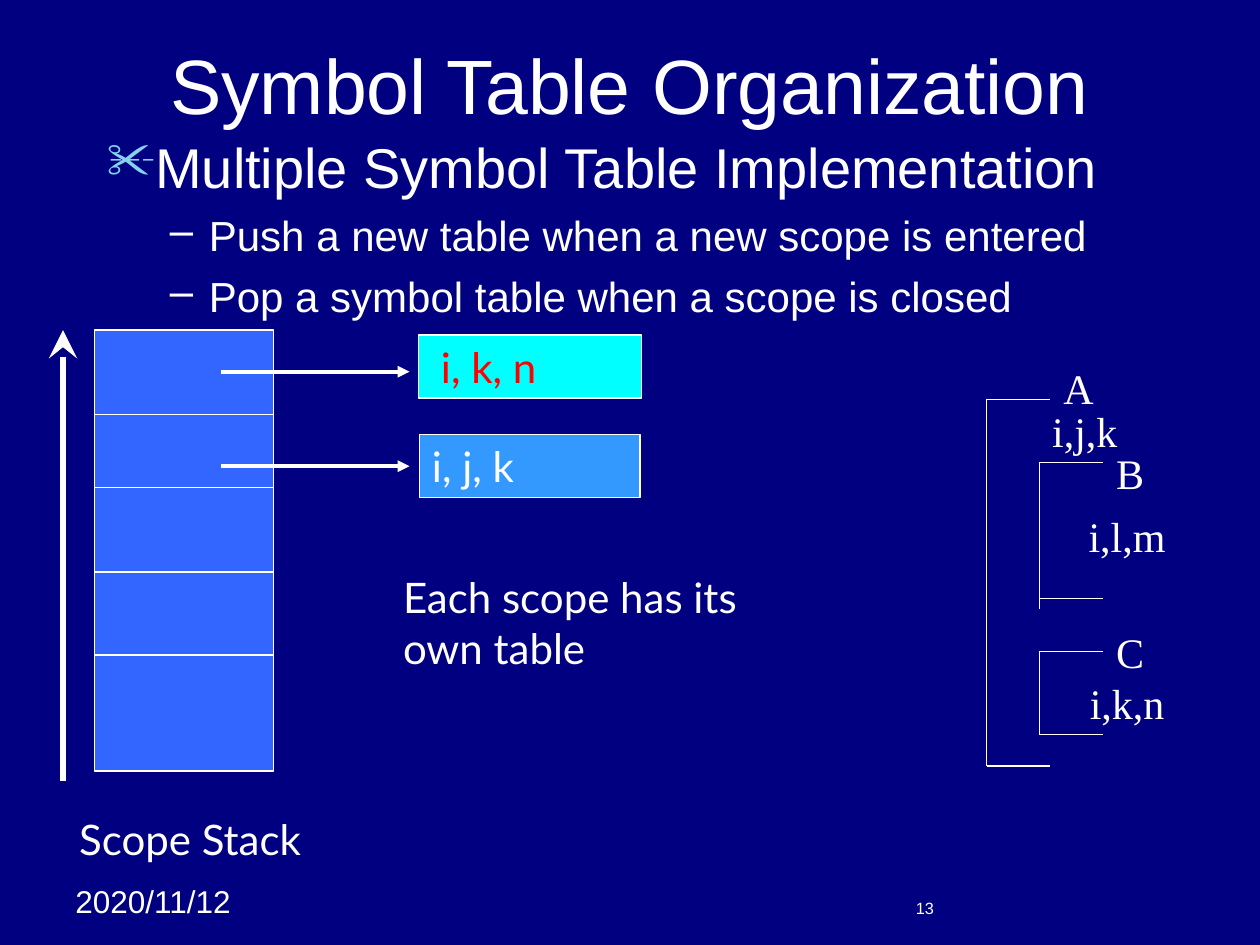
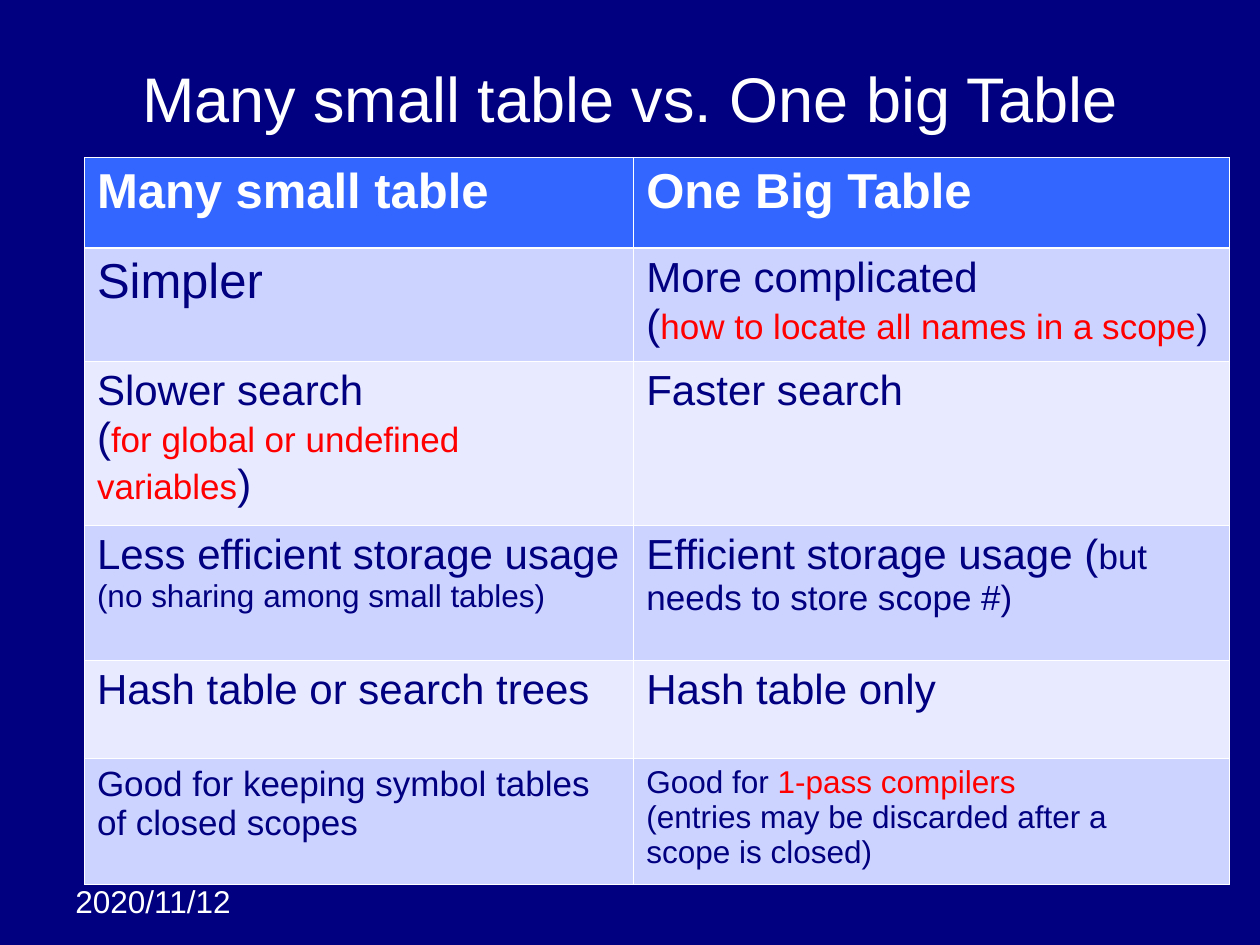
from dataclasses import dataclass
from typing import NamedTuple

from lxml import etree
from pptx import Presentation
from pptx.dml.color import RGBColor
from pptx.enum.shapes import MSO_CONNECTOR, MSO_SHAPE
from pptx.enum.text import MSO_ANCHOR, PP_ALIGN
from pptx.oxml.ns import qn
from pptx.util import Emu, Pt

EMU_PER_PX = 9144  # 100 px to the inch
STRAIGHT = MSO_CONNECTOR.STRAIGHT
RECTANGLE = MSO_SHAPE.RECTANGLE
LEFT, CENTER = PP_ALIGN.LEFT, PP_ALIGN.CENTER
TOP, MIDDLE = MSO_ANCHOR.TOP, MSO_ANCHOR.MIDDLE
SANS, SERIF, HUMANIST = "Arial", "Times New Roman", "Lato"

COLORS = {
    "navy": "000080",
    "white": "FFFFFF",
    "red": "FF0000",
    "blue": "3366FF",
    "sky": "3399FF",
    "cyan": "00FFFF",
    "bullet": "86D1EC",
    "band_dark": "CDD3FF",
    "band_light": "E8EAFF",
}


class Box(NamedTuple):
    left: int
    top: int
    width: int
    height: int


class Piece(NamedTuple):
    """A stretch of text in one format."""
    text: str
    size: float
    color: str = "navy"
    bold: bool = False


class Bullet(NamedTuple):
    symbol: str
    color: str
    percent: int
    indent: int
    hanging: int
    space_before: int


class Bracket(NamedTuple):
    left: int
    top: int
    bottom: int
    lower_arm: int


class ScopeTable(NamedTuple):
    names: str
    box: Box
    fill: str
    color: str
    inset: int
    arrow_y: int


@dataclass(frozen=True)
class TextBox:
    box: Box
    lines: tuple[str, ...]
    size: float
    font: str = SANS
    align: PP_ALIGN = LEFT
    anchor: MSO_ANCHOR = TOP
    wrap: bool = True


def px(length: int) -> Emu:
    return Emu(length * EMU_PER_PX)


def rgb(name: str) -> RGBColor:
    return RGBColor.from_string(COLORS[name])


def place(box: Box) -> list[Emu]:
    return [px(length) for length in box]


def add_child(parent, tag: str, **attributes: str):
    return etree.SubElement(parent, qn(tag), attributes)


def add_piece(paragraph, piece: Piece, font: str = SANS) -> None:
    run = paragraph.add_run()
    run.text = piece.text
    run.font.color.rgb = rgb(piece.color)
    formats = {"name": font, "size": Pt(piece.size), "bold": piece.bold}
    for name, value in formats.items():
        setattr(run.font, name, value)


def fill_frame(frame, paragraphs, font: str = SANS, align: PP_ALIGN = LEFT) -> None:
    for index, pieces in enumerate(paragraphs):
        paragraph = frame.add_paragraph() if index else frame.paragraphs[0]
        paragraph.alignment = align
        for piece in pieces:
            add_piece(paragraph, piece, font)


def add_text(slide, item: TextBox) -> None:
    frame = slide.shapes.add_textbox(*place(item.box)).text_frame
    formats = {"word_wrap": item.wrap, "vertical_anchor": item.anchor}
    for name, value in formats.items():
        setattr(frame, name, value)
    paragraphs = [[Piece(line, item.size, "white")] for line in item.lines]
    fill_frame(frame, paragraphs, item.font, item.align)


def add_line(slide, start: tuple[int, int], end: tuple[int, int],
             width: float = 1, arrow: str = "", arrow_size: str = "med") -> None:
    connector = slide.shapes.add_connector(STRAIGHT, *map(px, start + end))
    connector.line.color.rgb = rgb("white")
    connector.line.width = Pt(width)
    if arrow:
        add_child(connector.line._get_or_add_ln(), "a:tailEnd",
                  type=arrow, w=arrow_size, len=arrow_size)
    add_child(connector._element.spPr, "a:effectLst")


def add_rectangle(slide, box: Box, fill: str, line_width: float):
    shape = slide.shapes.add_shape(RECTANGLE, *place(box))
    shape.shadow.inherit = False
    shape.fill.solid()
    shape.fill.fore_color.rgb = rgb(fill)
    shape.line.color.rgb = rgb("white")
    shape.line.width = Pt(line_width)
    return shape


def add_bracket(slide, bracket: Bracket) -> None:
    left, top, bottom, lower_arm = bracket
    add_line(slide, (left, top), (left, bottom))
    for arm_y in (top, lower_arm):
        add_line(slide, (left, arm_y), (left + 50, arm_y))


def add_scope_table(slide, table: ScopeTable) -> None:
    frame = add_rectangle(slide, table.box, table.fill, 0.75).text_frame
    frame.vertical_anchor = TOP
    frame.margin_left = px(table.inset)
    fill_frame(frame, [[Piece(table.names, 24, table.color)]], HUMANIST)
    add_line(slide, (175, table.arrow_y), (325, table.arrow_y), 2.25, "triangle")


def add_bullets(slide, box: Box, items) -> None:
    frame = slide.shapes.add_textbox(*place(box)).text_frame
    frame.word_wrap = True
    fill_frame(frame, [[piece] for _, piece in items])
    for index, (paragraph, (bullet, _)) in enumerate(zip(frame.paragraphs, items)):
        if index:
            paragraph.space_before = Pt(bullet.space_before)
        properties = paragraph._p.get_or_add_pPr()
        properties.set("marL", str(px(bullet.indent)))
        properties.set("indent", str(-px(bullet.hanging)))
        color = add_child(properties, "a:buClr")
        add_child(color, "a:srgbClr", val=COLORS[bullet.color])
        add_child(properties, "a:buSzPct", val=str(bullet.percent * 1000))
        add_child(properties, "a:buChar", char=bullet.symbol)


def set_cell_borders(cell, widths: dict[str, float]) -> None:
    properties = cell._tc.get_or_add_tcPr()
    for index, (side, width) in enumerate(widths.items()):
        line = etree.Element(qn(f"a:ln{side}"), w=str(Pt(width)))
        add_child(add_child(line, "a:solidFill"), "a:srgbClr", val=COLORS["white"])
        properties.insert(index, line)


def add_comparison(slide, box: Box, columns, heights, rows) -> None:
    table = slide.shapes.add_table(len(rows), len(columns), *place(box)).table
    for column, width in zip(table.columns, columns):
        column.width = px(width)
    for index, (row, height, texts) in enumerate(zip(table.rows, heights, rows)):
        row.height = px(height)
        band = "band_dark" if index % 2 else "band_light"
        for cell, paragraphs in zip(row.cells, texts):
            cell.fill.solid()
            cell.fill.fore_color.rgb = rgb(band if index else "blue")
            fill_frame(cell.text_frame, paragraphs)
            set_cell_borders(cell, {
                "L": 0.45, "R": 0.45,
                "T": 1.47 if index == 1 else 0.45,
                "B": 1.47 if index == 0 else 0.45,
            })


def add_slide(presentation, title: str, title_box: Box, title_size: float):
    slide = presentation.slides.add_slide(presentation.slide_layouts[6])
    slide.background.fill.solid()
    slide.background.fill.fore_color.rgb = rgb("navy")
    add_text(slide, TextBox(Box(50, 695, 158, 40), ("2020/11/12",), 18))
    add_text(slide, TextBox(title_box, (title,), title_size, align=CENTER, anchor=MIDDLE))
    return slide


# Symbol table organization
SCISSORS = Bullet("✂", "bullet", 90, 38, 38, 8)
DASH = Bullet("–", "white", 100, 81, 31, 6)
BULLETS = (
    (SCISSORS, Piece("Multiple Symbol Table Implementation", 32, "white")),
    (DASH, Piece("Push a new table when a new scope is entered", 24, "white")),
    (DASH, Piece("Pop a symbol table when a scope is closed", 24, "white")),
)
BRACKETS = (
    Bracket(783, 317, 608, 608),
    Bracket(825, 367, 483, 475),
    Bracket(825, 517, 583, 583),
)
SCOPE_LABELS = (
    ("A", Box(834, 283, 44, 50)),
    ("i,j,k", Box(825, 317, 72, 50)),
    ("B", Box(876, 350, 42, 50)),
    ("i,l,m", Box(854, 400, 81, 50)),
    ("C", Box(876, 492, 42, 50)),
    ("i,k,n", Box(855, 533, 79, 50)),
)
STACK = Box(75, 262, 142, 350)
STACK_DIVIDERS = (329, 387, 454, 520)
SCOPE_TABLES = (
    ScopeTable("i, k, n", Box(332, 266, 177, 50), "cyan", "red", 18, 295),
    ScopeTable("i, j, k", Box(333, 345, 175, 50), "sky", "white", 10, 370),
)
CAPTIONS = (
    TextBox(Box(53, 641, 205, 50), ("Scope Stack",), 24, HUMANIST),
    TextBox(Box(310, 449, 312, 90), ("Each scope has its", "own table"), 24, HUMANIST),
    TextBox(Box(717, 708, 233, 27), ("13",), 9.3),
)

# Comparison rows: cells hold paragraphs, paragraphs hold pieces
COMPARISON = (
    ([[Piece("Many small table", 28, "white", True)]],
     [[Piece("One Big Table", 28, "white", True)]]),
    ([[Piece("Simpler", 28)]],
     [[Piece("More complicated", 24)],
      [Piece("(", 24), Piece("how to locate all names in a scope", 20, "red"), Piece(")", 20)]]),
    ([[Piece("Slower search", 24)],
      [Piece("(", 24), Piece("for global or undefined variables", 20, "red"), Piece(")", 24)]],
     [[Piece("Faster search", 24)]]),
    ([[Piece("Less efficient storage usage", 24)],
      [Piece("(no sharing among small tables)", 18)]],
     [[Piece("Efficient storage usage (", 24), Piece("but needs to store scope #)", 20)]]),
    ([[Piece("Hash table or search trees", 24)]],
     [[Piece("Hash table only", 24)]]),
    ([[Piece("Good for keeping symbol tables of closed scopes", 20)]],
     [[Piece("Good for ", 18), Piece("1-pass compilers", 18, "red")],
      [Piece("(entries may be discarded after a", 18)],
      [Piece("scope is closed)", 18)]]),
)


def build_organization(presentation) -> None:
    slide = add_slide(presentation, "Symbol Table Organization", Box(75, 25, 850, 83), 44)
    add_bullets(slide, Box(75, 100, 850, 575), BULLETS)

    # Nested scopes
    for bracket in BRACKETS:
        add_bracket(slide, bracket)
    for name, box in SCOPE_LABELS:
        add_text(slide, TextBox(box, (name,), 24, SERIF, CENTER, wrap=False))

    # Scope stack and its tables
    add_rectangle(slide, STACK, "blue", 1)
    for divider in STACK_DIVIDERS:
        add_line(slide, (STACK.left, divider), (STACK.left + STACK.width, divider))
    add_line(slide, (50, 620), (50, 262), 3.25, "stealth", "lg")
    for table in SCOPE_TABLES:
        add_scope_table(slide, table)
    for caption in CAPTIONS:
        add_text(slide, caption)


def build_comparison(presentation) -> None:
    slide = add_slide(presentation, "Many small table vs. One big Table", Box(50, 30, 900, 95), 36)
    add_comparison(slide, Box(67, 125, 909, 577), (436, 473),
                   (72, 90, 130, 107, 78, 100), COMPARISON)


def main() -> None:
    presentation = Presentation()
    presentation.slide_width, presentation.slide_height = px(1000), px(750)
    build_organization(presentation)
    build_comparison(presentation)
    presentation.save("out.pptx")


if __name__ == "__main__":
    main()
